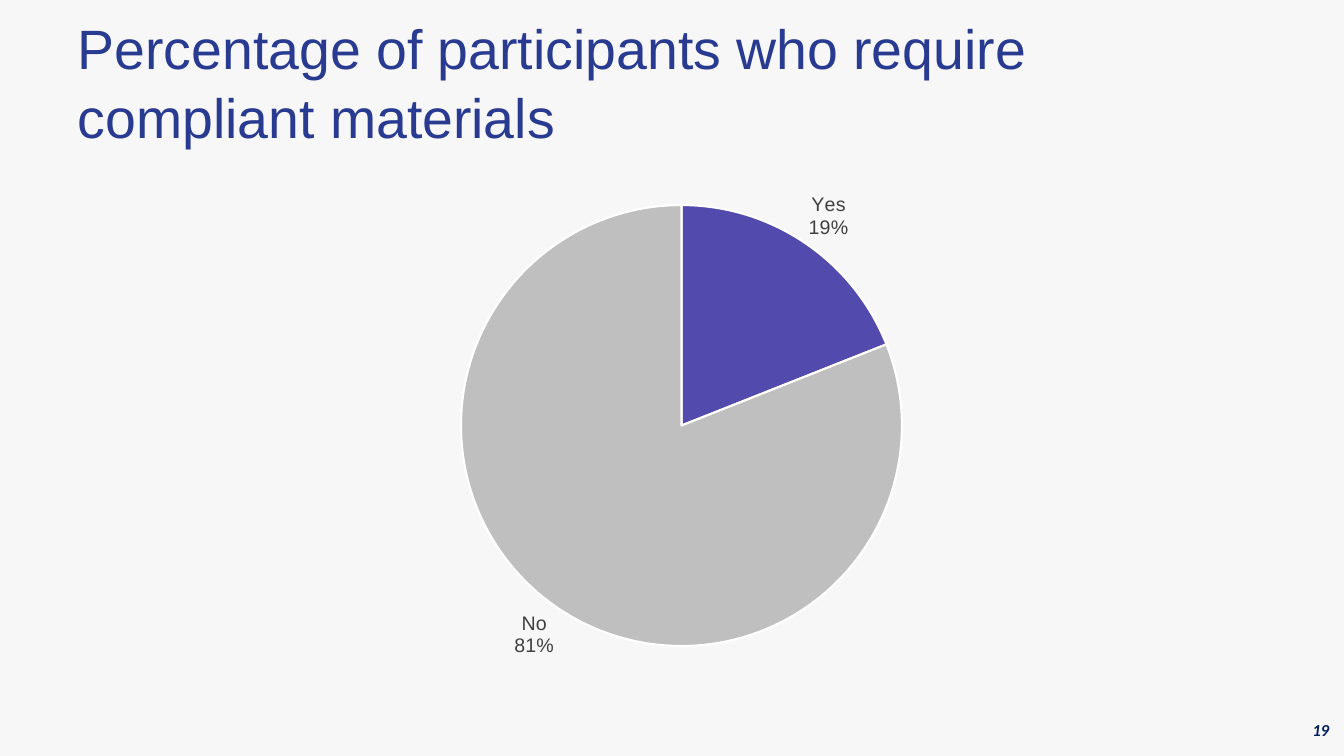
from dataclasses import dataclass

import pptx
import pptx.chart.data
import pptx.dml.color
import pptx.enum.chart
import pptx.enum.text
import pptx.oxml
import pptx.oxml.ns
import pptx.util
from pptx.util import Cm


@dataclass(frozen=True)
class Theme:
    background: str = "F7F7F7"
    title: str = "283B91"
    number: str = "002060"
    label: str = "404040"
    border: str = "FFFFFF"
    slices: tuple = ("534AAE", "BFBFBF")
    font: str = "Arial"
    number_font: str = "Calibri"
    title_size: float = 39.6
    label_size: float = 14
    number_size: float = 12


THEME = Theme()


def color(value):
    return pptx.dml.color.RGBColor.from_string(value)


def paint(fill, value):
    fill.solid()
    fill.fore_color.rgb = color(value)


def style_font(font, name, size, value, bold=False, italic=False):
    font.name = name
    font.size = pptx.util.Pt(size)
    font.color.rgb = color(value)
    font.bold = bold
    font.italic = italic


def write_text(box, text, *, align, anchor, spacing=1.0, **font_format):
    frame = box.text_frame
    frame.word_wrap = True
    frame.auto_size = pptx.enum.text.MSO_AUTO_SIZE.NONE
    frame.vertical_anchor = anchor
    para = frame.paragraphs[0]
    para.alignment = align
    para.line_spacing = spacing
    span = para.add_run()
    span.text = text
    style_font(span.font, **font_format)


def add_title(page, text):
    title = page.shapes.title
    title.left, title.top = Cm(1.7), Cm(0.43)
    title.width, title.height = Cm(30.48), Cm(3.18)
    write_text(title, text, align=pptx.enum.text.PP_ALIGN.LEFT,
               anchor=pptx.enum.text.MSO_ANCHOR.MIDDLE, spacing=1.05,
               name=THEME.font, size=THEME.title_size, value=THEME.title)


def add_page_number(page, text):
    box = page.shapes.add_textbox(Cm(32), Cm(18.01), Cm(1.75), Cm(1.02))
    write_text(box, text, align=pptx.enum.text.PP_ALIGN.RIGHT,
               anchor=pptx.enum.text.MSO_ANCHOR.TOP,
               name=THEME.number_font, size=THEME.number_size,
               value=THEME.number, bold=True, italic=True)


def place_plot(chart, **fractions):
    parts = "".join(f'<c:{key} val="{value}"/>' for key, value in fractions.items())
    layout = pptx.oxml.parse_xml(
        f'<c:layout {pptx.oxml.ns.nsdecls("c")}><c:manualLayout>'
        '<c:layoutTarget val="inner"/><c:xMode val="edge"/><c:yMode val="edge"/>'
        f'{parts}</c:manualLayout></c:layout>')
    plot_area = chart.element.find(".//" + pptx.oxml.ns.qn("c:plotArea"))
    for existing in plot_area.findall(pptx.oxml.ns.qn("c:layout")):
        plot_area.remove(existing)
    plot_area.insert(0, layout)


def show_labels(series):
    labels = series.data_labels
    style_font(labels.font, THEME.font, THEME.label_size, THEME.label)
    labels.show_category_name = True
    labels.show_percentage = True
    labels.show_value = False
    labels.position = pptx.enum.chart.XL_LABEL_POSITION.OUTSIDE_END
    separator = pptx.oxml.parse_xml(
        f'<c:separator {pptx.oxml.ns.nsdecls("c")}>\n</c:separator>')
    bubble = labels._element.find(pptx.oxml.ns.qn("c:showBubbleSize"))
    bubble.addnext(separator)


def add_pie(page, shares):
    data = pptx.chart.data.CategoryChartData()
    data.categories = list(shares)
    data.add_series("Series 1", list(shares.values()))
    chart = page.shapes.add_chart(
        pptx.enum.chart.XL_CHART_TYPE.PIE,
        Cm(5.87), Cm(4.11), Cm(22.61), Cm(13.23), data).chart
    chart.has_legend = False
    chart.has_title = False
    style_font(chart.font, THEME.font, THEME.label_size, THEME.label)
    plot = chart.plots[0]
    plot.vary_by_categories = True
    series = plot.series[0]
    for index, value in enumerate(THEME.slices):
        style = series.points[index].format
        paint(style.fill, value)
        style.line.color.rgb = color(THEME.border)
        style.line.width = pptx.util.Pt(1.5)
    show_labels(series)
    place_plot(chart, x=0.25, y=0.08, w=0.5, h=0.84)


def main():
    deck = pptx.Presentation()
    deck.slide_width, deck.slide_height = Cm(33.87), Cm(19.05)
    page = deck.slides.add_slide(deck.slide_layouts.get_by_name("Title Only"))
    paint(page.background.fill, THEME.background)
    add_title(page, "Percentage of participants who require compliant materials")
    add_pie(page, {"Yes": 19, "No": 81})
    add_page_number(page, "19")
    deck.save("out.pptx")


if __name__ == "__main__":
    main()
